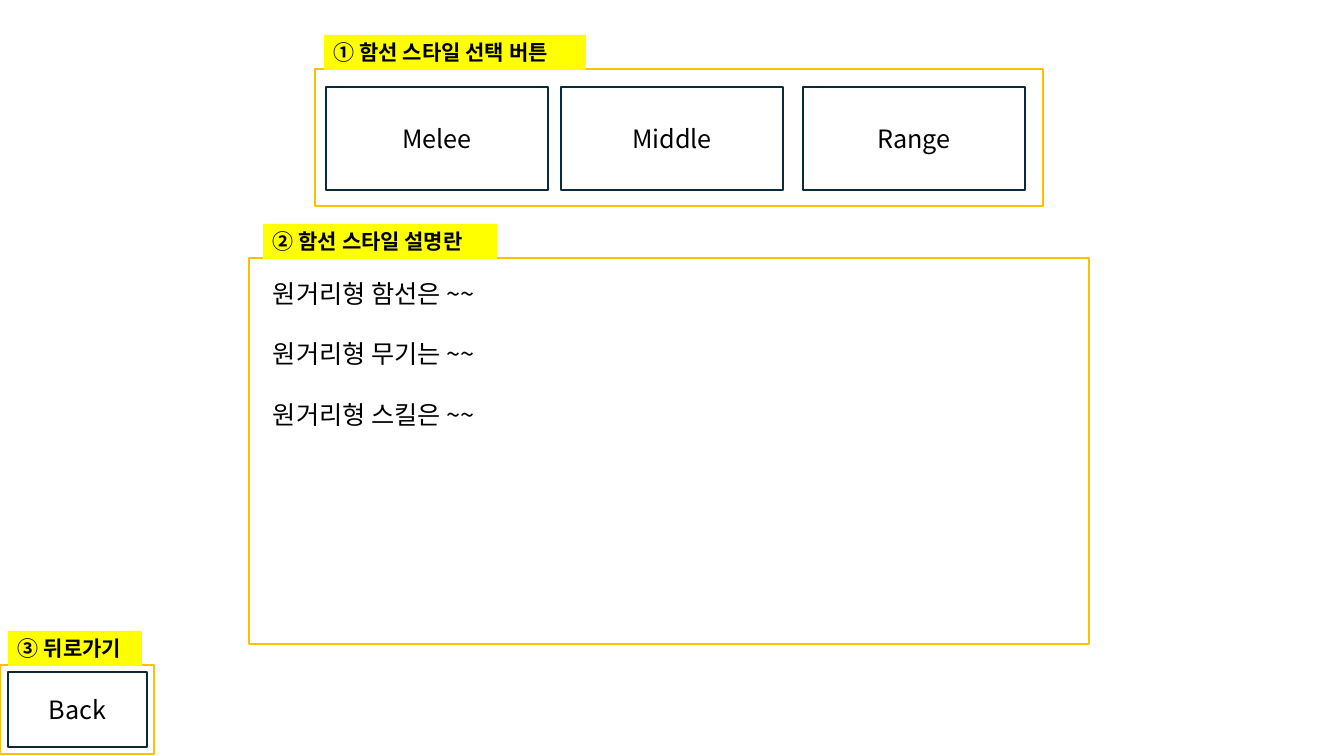
from pptx import Presentation
from pptx.dml.color import RGBColor
from pptx.enum.shapes import MSO_SHAPE
from pptx.enum.text import MSO_ANCHOR, PP_ALIGN
from pptx.util import Pt

EMU_PER_PX = 914400 / 100.8
FONT = "Noto Sans CJK KR"
COLORS = {"text": "000000", "button": "FFFFFF", "outline": "092A39",
          "frame": "FFC000", "label": "FFFF00"}
LABEL_HEIGHT = 35


def px(length):
    return round(length * EMU_PER_PX)


def color(name):
    return RGBColor.from_string(COLORS[name])


def add_rectangle(page, box, fill=None, line=None, weight=0):
    shape = page.shapes.add_shape(MSO_SHAPE.RECTANGLE, *map(px, box))
    shape.shadow.inherit = False
    if fill:
        shape.fill.solid()
        shape.fill.fore_color.rgb = color(fill)
    else:
        shape.fill.background()
    if line:
        shape.line.color.rgb = color(line)
        shape.line.width = Pt(weight)
    else:
        shape.line.fill.background()
    return shape


def add_text(para, text, size, align, bold=False):
    para.alignment = align
    span = para.add_run()
    span.text = text
    span.font.name = FONT
    span.font.size = Pt(size)
    span.font.bold = bold
    span.font.color.rgb = color("text")


def add_button(page, box, text):
    frame = add_rectangle(page, box, "button", "outline", 1.5).text_frame
    frame.vertical_anchor = MSO_ANCHOR.MIDDLE
    add_text(frame.paragraphs[0], text, 18, PP_ALIGN.CENTER)


def add_marked_frame(page, box, label, indent, label_width):
    """Outline a region and set its numbered label on the top edge."""
    left, top, _, _ = box
    add_rectangle(page, box, line="frame", weight=2)
    label_box = (left + indent, top - LABEL_HEIGHT + 1, label_width, LABEL_HEIGHT)
    frame = add_rectangle(page, label_box, "label").text_frame
    frame.word_wrap = False
    frame.vertical_anchor = MSO_ANCHOR.MIDDLE
    add_text(frame.paragraphs[0], label, 15, PP_ALIGN.LEFT, bold=True)


def add_style_buttons(page, box):
    left, top, _, _ = box
    for offset, style in ((11, "Melee"), (246, "Middle"), (488, "Range")):
        add_button(page, (left + offset, top + 18, 222, 103), style)
    add_marked_frame(page, box, "① 함선 스타일 선택 버튼", 9, 262)


def add_description(page, box):
    left, top, _, _ = box
    text_box = page.shapes.add_textbox(px(left + 14), px(top + 15), px(252), px(194))
    frame = text_box.text_frame
    frame.word_wrap = False
    for index, topic in enumerate(("함선은", "무기는", "스킬은")):
        para = frame.add_paragraph() if index else frame.paragraphs[0]
        para.line_spacing = Pt(21.6)
        para.space_before = Pt(21.6 if index else 0)
        add_text(para, f"원거리형 {topic} ~~", 18, PP_ALIGN.LEFT)
    add_marked_frame(page, box, "② 함선 스타일 설명란", 14, 234)


def add_back(page, box):
    left, top, _, _ = box
    add_button(page, (left + 8, top + 7, 139, 75), "Back")
    add_marked_frame(page, box, "③ 뒤로가기", 8, 134)


def main():
    deck = Presentation()
    deck.slide_width, deck.slide_height = px(1344), px(756)
    page = deck.slides.add_slide(deck.slide_layouts[6])
    add_style_buttons(page, (315, 69, 728, 137))
    add_description(page, (249, 258, 840, 386))
    add_back(page, (0, 665, 154, 89))
    deck.save("out.pptx")


if __name__ == "__main__":
    main()
